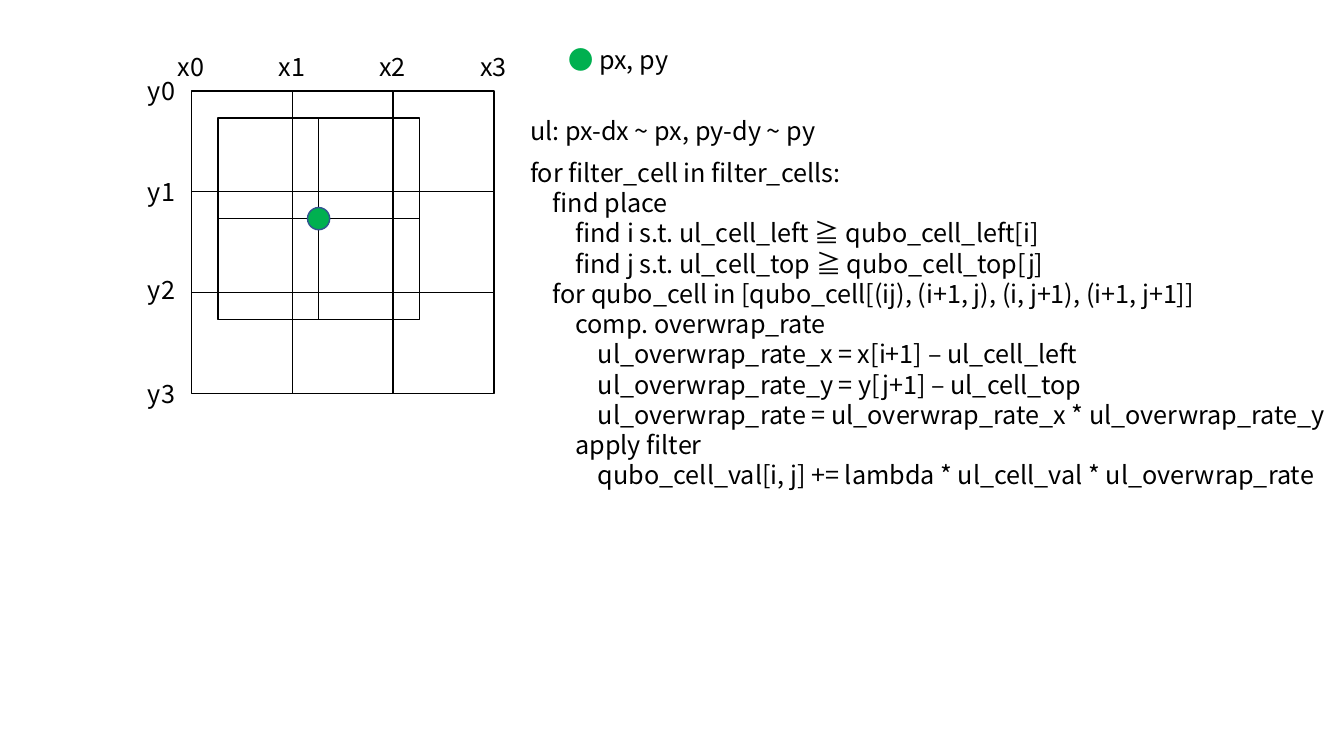
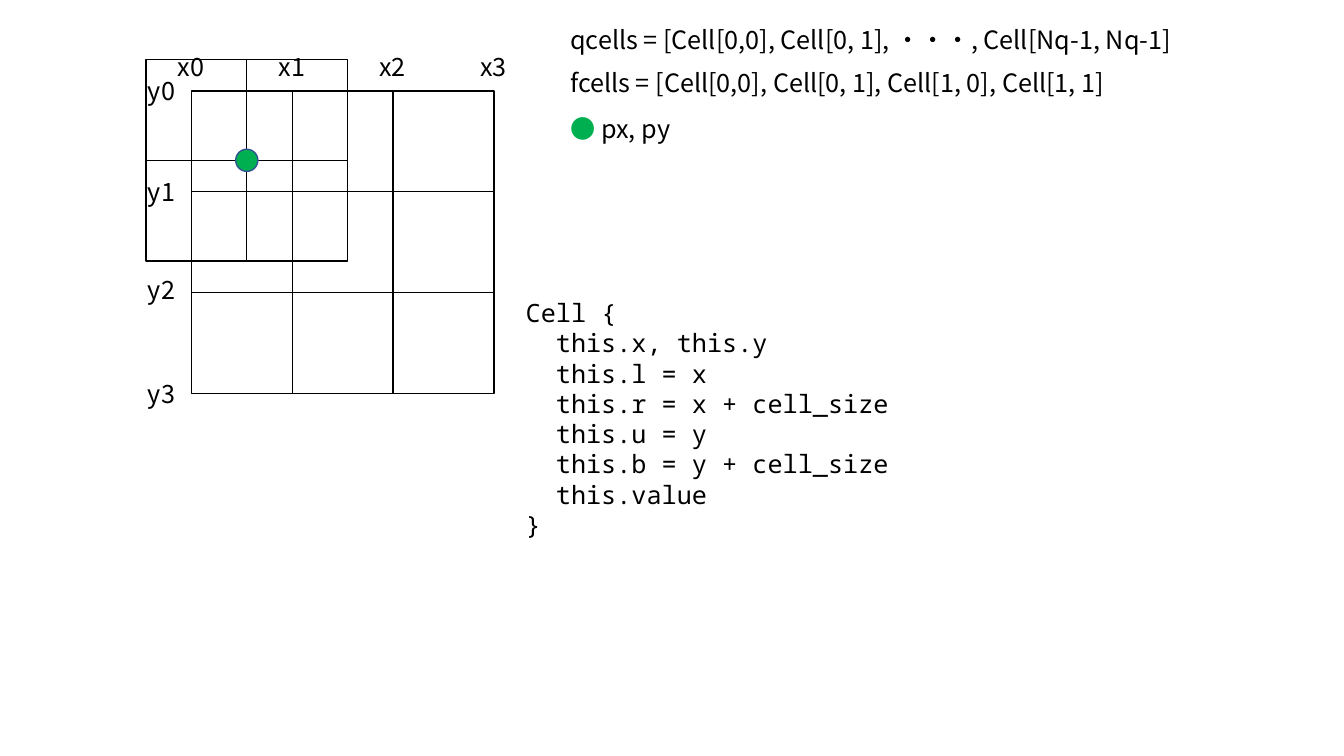
"""Build two slides on overlapping filter cells and grid cells."""
from pptx import Presentation, util as u
from pptx.dml.color import RGBColor
from pptx.enum import shapes, text
from pptx.oxml import ns
from lxml import etree

COLORS = {"ink": "000000", "paper": "FFFFFF", "point": "00B050", "point_edge": "325491"}
SANS, MONO = "Noto Sans CJK JP", "Noto Sans Mono"
CELL, DOT, LINE_HEIGHT = 2.54, 0.56, 1.02
GRID_LEFT, GRID_TOP = 4.83, 2.29
Y_LABEL_TOPS = (1.78, 4.32, 6.78, 9.4)

pages = [
    {
        "filter": (5.49, 2.97),
        "legend": (14.07, 0.99),
        "notes": [(13.11, 2.79, 8.08, "ul: px-dx ~ px, py-dy ~ py")],
        "code": (13.11, 3.84, 20.7, 8.71, SANS, 0.57, [
            (0, "for filter_cell in filter_cells:"),
            (1, "find place"),
            (2, "find i s.t. ul_cell_left ≧ qubo_cell_left[i]"),
            (2, "find j s.t. ul_cell_top ≧ qubo_cell_top[j]"),
            (1, "for qubo_cell in [qubo_cell[(ij), (i+1, j), (i, j+1), (i+1, j+1]]"),
            (2, "comp. overwrap_rate"),
            (3, "ul_overwrap_rate_x = x[i+1] – ul_cell_left"),
            (3, "ul_overwrap_rate_y = y[j+1] – ul_cell_top"),
            (3, "ul_overwrap_rate = ul_overwrap_rate_x * ul_overwrap_rate_y"),
            (2, "apply filter"),
            (3, "qubo_cell_val[i, j] += lambda * ul_cell_val * ul_overwrap_rate"),
        ]),
    },
    {
        "filter": (3.68, 1.5),
        "legend": (14.12, 2.72),
        "notes": [
            (14.12, 0.48, 16.43, "qcells = [Cell[0,0], Cell[0, 1], ・・・, Cell[Nq-1, Nq-1]"),
            (14.12, 1.57, 14.78, "fcells = [Cell[0,0], Cell[0, 1], Cell[1, 0], Cell[1, 1]"),
        ],
        "code": (13, 7.37, 9.7, 6.4, MONO, 0.76, [
            (0, "Cell {"),
            (1, "this.x, this.y"),
            (1, "this.l = x"),
            (1, "this.r = x + cell_size"),
            (1, "this.u = y"),
            (1, "this.b = y + cell_size"),
            (1, "this.value"),
            (0, "}"),
        ]),
    },
]


def draw(parent, kind, left, top, size, fill, edge):
    figure = parent.add_shape(kind, u.Cm(left), u.Cm(top), u.Cm(size), u.Cm(size))
    figure.shadow.inherit = False
    if fill:
        figure.fill.solid()
        figure.fill.fore_color.rgb = RGBColor.from_string(COLORS[fill])
    else:
        figure.fill.background()
    figure.line.color.rgb = RGBColor.from_string(COLORS[edge])
    figure.line.width = u.Pt(1)


def write(parent, left, top, width, height, lines, font=SANS, step=0):
    """Write (depth, runs) lines, where runs are (words, colour) pairs."""
    frame = parent.add_textbox(u.Cm(left), u.Cm(top), u.Cm(width), u.Cm(height)).text_frame
    frame.word_wrap = False
    frame.auto_size = text.MSO_AUTO_SIZE.SHAPE_TO_FIT_TEXT
    for number, (depth, runs) in enumerate(lines):
        paragraph = frame.add_paragraph() if number else frame.paragraphs[0]
        if depth:
            paragraph._p.get_or_add_pPr().set("marL", str(u.Cm(depth * step)))
        for words, color in runs:
            run = paragraph.add_run()
            run.text = words
            run.font.size = u.Pt(18)
            run.font.name = font
            run.font.color.rgb = RGBColor.from_string(COLORS[color])
            etree.SubElement(run.font._element, ns.qn("a:ea"), typeface=font)


deck = Presentation()
deck.slide_width, deck.slide_height = u.Cm(33.87), u.Cm(19.05)
square, circle = shapes.MSO_SHAPE.RECTANGLE, shapes.MSO_SHAPE.OVAL

for page in pages:
    slide = deck.slides.add_slide(deck.slide_layouts[6])
    diagram = slide.shapes.add_group_shape().shapes
    filter_left, filter_top = page["filter"]
    for left, top, count, fill in ((GRID_LEFT, GRID_TOP, 3, "paper"),
                                   (filter_left, filter_top, 2, None)):
        for row in range(count):
            for column in range(count):
                draw(diagram, square, left + column * CELL, top + row * CELL, CELL, fill, "ink")
    draw(diagram, circle, filter_left + CELL - DOT / 2, filter_top + CELL - DOT / 2,
         DOT, "point", "point_edge")
    for index, y_top in enumerate(Y_LABEL_TOPS):
        write(diagram, 4.23 + index * CELL, 1.17, 1.17, LINE_HEIGHT, [(0, [(f"x{index}", "ink")])])
        write(diagram, 3.48, y_top, 1.19, LINE_HEIGHT, [(0, [(f"y{index}", "ink")])])

    write(slide.shapes, *page["legend"], 3.05, LINE_HEIGHT,
          [(0, [("● ", "point"), ("px, py", "ink")])])
    for left, top, width, words in page["notes"]:
        write(slide.shapes, left, top, width, LINE_HEIGHT, [(0, [(words, "ink")])])
    *place, font, step, code = page["code"]
    write(slide.shapes, *place, [(depth, [(words, "ink")]) for depth, words in code], font, step)

deck.save("out.pptx")
